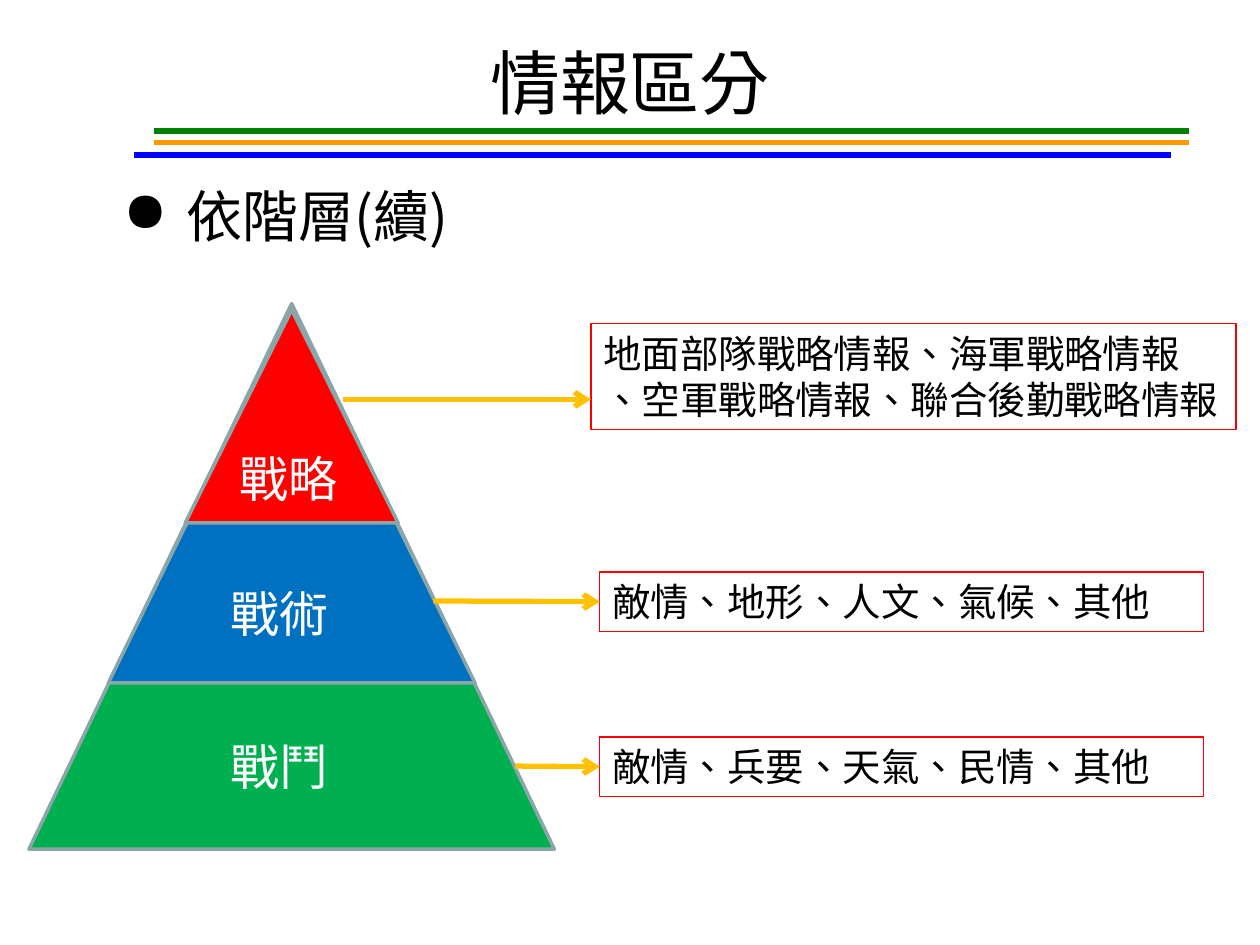
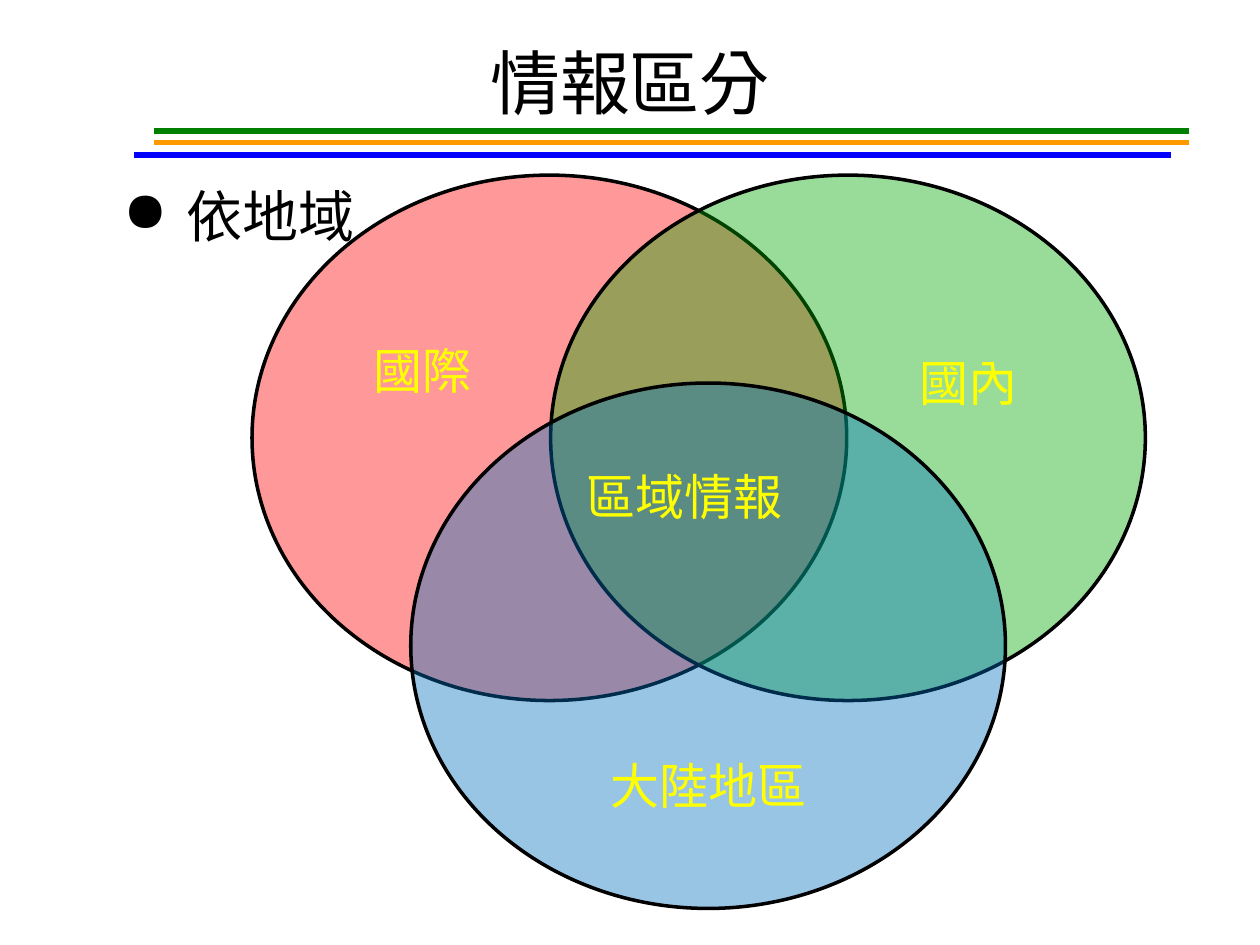
"""Build two slides on how intelligence is divided: by level and by region."""
import pptx
import pptx.util
import pptx.dml.color
import pptx.enum.shapes
import pptx.enum.text
import pptx.oxml.ns
from lxml import etree

Inches = pptx.util.Inches
Pt = pptx.util.Pt
RGBColor = pptx.dml.color.RGBColor
Shape = pptx.enum.shapes.MSO_SHAPE
Anchor = pptx.enum.text.MSO_ANCHOR
Align = pptx.enum.text.PP_ALIGN
qn = pptx.oxml.ns.qn

BLACK = RGBColor(0, 0, 0)
WHITE = RGBColor(255, 255, 255)
RED = RGBColor(255, 0, 0)
YELLOW = RGBColor(255, 255, 0)
BLUE = RGBColor(0, 0x70, 0xC0)
GREEN = RGBColor(0, 0xB0, 0x50)
REGION_GREEN = RGBColor(0, 0xA8, 0)
EDGE = RGBColor(0x8A, 0xA6, 0xA8)
ARROW = RGBColor(0xFF, 0xC0, 0)
LATIN_FONT = "Arial"
CJK_FONT = "Noto Sans CJK SC"

TITLE = "情報區分"
TITLE_RULES = [
    (9.44, 1.22, 1.13, RGBColor(0xFF, 0x99, 0)),
    (9.29, 1.06, 1.23, RGBColor(0, 0, 0xFF)),
    (9.44, 1.22, 1.04, RGBColor(0, 0x80, 0)),
]

LEVEL_HEADING = "依階層(續)"
PYRAMID = [
    ((0.23, 2.41, 4.17, 4.33), GREEN),
    ((0.86, 2.46, 2.91, 2.96), BLUE),
    ((1.47, 2.46, 1.69, 1.69), RED),
]
LEVEL_LABELS = [
    ("戰略", (1.8, 3.51, 1.18, 0.57)),
    ("戰術", (1.73, 4.58, 1.18, 0.57)),
    ("戰鬥", (1.73, 5.8, 1.18, 0.57)),
]
LEVEL_DETAILS = [
    ("地面部隊戰略情報、海軍戰略情報\n、空軍戰略情報、聯合後勤戰略情報",
     (4.69, 2.57, 5.12, 0.84), (2.72, 3.17), False),
    ("敵情、地形、人文、氣候、其他", (4.76, 4.54, 4.79, 0.47), (3.44, 4.77), True),
    ("敵情、兵要、天氣、民情、其他", (4.76, 5.85, 4.79, 0.47), (4.09, 6.08), True),
]

REGION_HEADING = "依地域"
CIRCLE_SIZE = (4.72, 4.17)
REGION_CIRCLES = [(2, 1.39, RED), (4.37, 1.39, REGION_GREEN), (3.26, 3.04, BLUE)]
REGION_LABELS = [
    ("國際", (2.87, 2.65, 1.73, 0.57)),
    ("國內", (7.2, 2.75, 1.73, 0.57)),
    ("大陸地區", (4.75, 5.95, 2.13, 0.57)),
    ("區域情報", (4.56, 3.65, 2.13, 0.57)),
]


def inches(values):
    return [Inches(value) for value in values]


def write(shape, text, size, color, font=LATIN_FONT, align=Align.LEFT, anchor=Anchor.TOP):
    frame = shape.text_frame
    frame.word_wrap = True
    frame.vertical_anchor = anchor
    frame.text = text
    for para in frame.paragraphs:
        para.alignment = align
        for span in para.runs:
            span.font.size = Pt(size)
            span.font.name = font
            span.font.color.rgb = color
            properties = span.font._element if hasattr(span.font, "_element") else span._r.get_or_add_rPr()
            properties.set("lang", "zh-TW")
            properties.find(qn("a:latin")).addnext(
                properties.makeelement(qn("a:ea"), {"typeface": CJK_FONT}))


def add_text(slide, text, place, size, color, **style):
    box = slide.shapes.add_textbox(*inches(place))
    write(box, text, size, color, **style)
    return box


def add_figure(slide, kind, place, fill, edge, weight, alpha=None):
    figure = slide.shapes.add_shape(kind, *inches(place))
    figure.shadow.inherit = False
    figure.fill.solid()
    figure.fill.fore_color.rgb = fill
    figure.line.color.rgb = edge
    figure.line.width = Pt(weight)
    if alpha is not None:
        color = figure._element.spPr.find(qn("a:solidFill")).find(qn("a:srgbClr"))
        etree.SubElement(color, qn("a:alpha"), val=str(alpha * 1000))
    return figure


def add_line(slide, start, end, color, target=None, arrow=False):
    line = slide.shapes.add_connector(
        pptx.enum.shapes.MSO_CONNECTOR.STRAIGHT, *inches(start + end))
    if target is not None:
        line.end_connect(target, 1)
    line.line.color.rgb = color
    line.line.width = Pt(3)
    if arrow:
        etree.SubElement(line.line._get_or_add_ln(), qn("a:tailEnd"), type="arrow")
    etree.SubElement(line._element.spPr, qn("a:effectLst"))


def add_page(deck, heading, heading_height):
    page = deck.slides.add_slide(deck.slide_layouts[6])
    for right, left, y, color in TITLE_RULES:
        add_line(page, (right, y), (left, y), color)
    add_text(page, TITLE, (0.5, 0.3, 9, 0.69), 40, BLACK,
             align=Align.CENTER, anchor=Anchor.MIDDLE)
    body = add_text(page, heading, (0.5, 1.39, 9, heading_height), 32, BLACK, font=CJK_FONT)
    properties = body.text_frame.paragraphs[0]._p.get_or_add_pPr()
    properties.set("marL", str(Inches(0.88)))
    properties.set("indent", str(Inches(-0.5)))
    etree.SubElement(properties, qn("a:buChar"), char="●")
    return page


def build_levels(deck):
    page = add_page(deck, LEVEL_HEADING, 0.77)
    for place, color in PYRAMID:
        add_figure(page, Shape.ISOSCELES_TRIANGLE, place, color, EDGE, 2)
    for label, place in LEVEL_LABELS:
        add_text(page, label, place, 28, WHITE)
    for text, place, start, joined in LEVEL_DETAILS:
        box = add_figure(page, Shape.RECTANGLE, place, WHITE, RED, 0.75)
        write(box, text, 22, BLACK, font=CJK_FONT)
        add_line(page, start, (place[0], start[1]), ARROW,
                 target=box if joined else None, arrow=True)


def build_regions(deck):
    page = add_page(deck, REGION_HEADING, 3.31)
    for left, top, color in REGION_CIRCLES:
        add_figure(page, Shape.OVAL, (left, top, *CIRCLE_SIZE), color, BLACK, 2, alpha=40)
    for label, place in REGION_LABELS:
        add_text(page, label, place, 28, YELLOW)


def main():
    deck = pptx.Presentation()
    deck.slide_width = Inches(10)
    deck.slide_height = Inches(7.5)
    build_levels(deck)
    build_regions(deck)
    deck.save("out.pptx")


if __name__ == "__main__":
    main()
